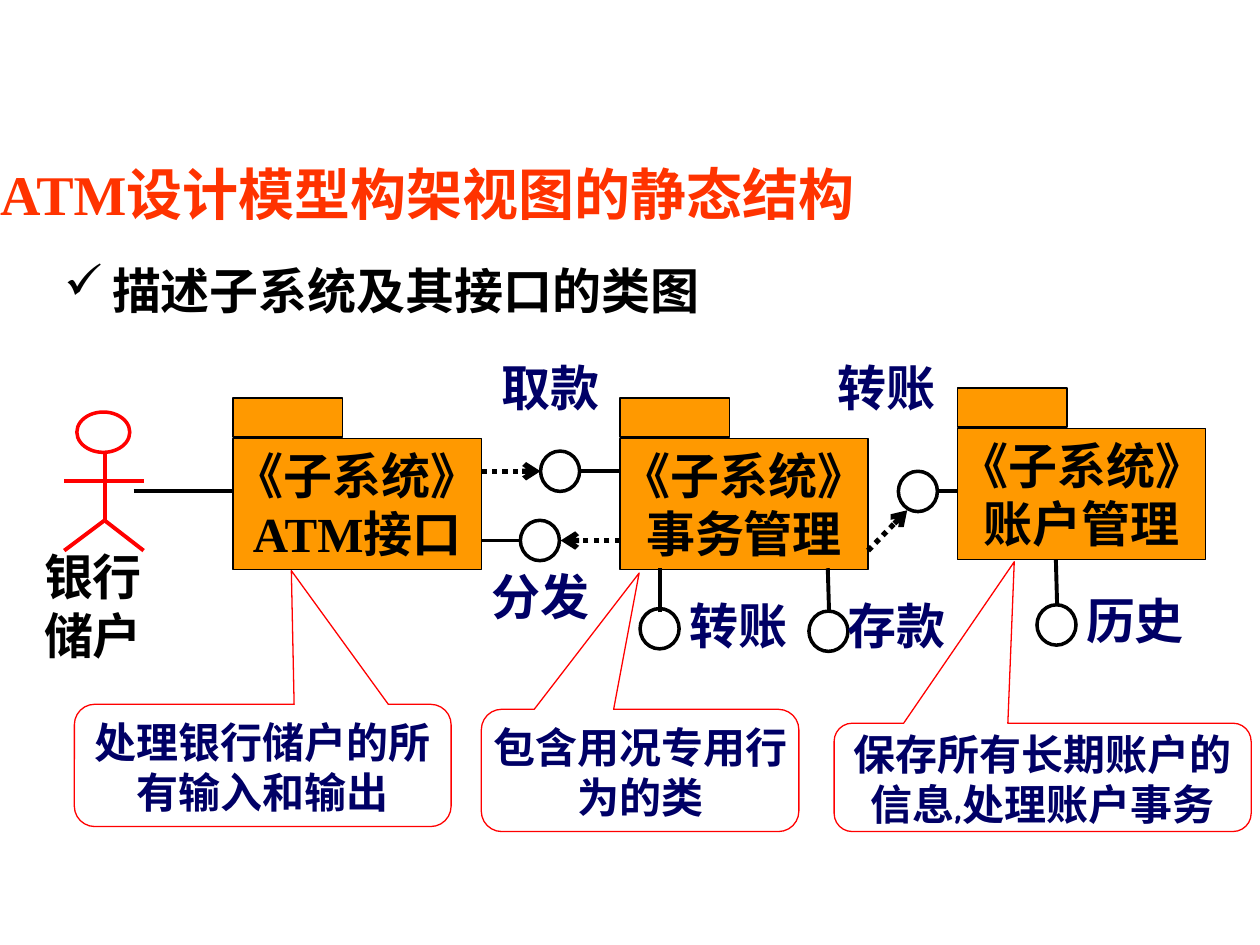
from lxml import etree
from pptx import Presentation
from pptx.dml.color import RGBColor
from pptx.enum.dml import MSO_LINE
from pptx.enum.shapes import MSO_CONNECTOR, MSO_SHAPE
from pptx.enum.text import MSO_ANCHOR, PP_ALIGN
from pptx.oxml.ns import qn
from pptx.util import Inches, Pt

LEFT, CENTER = PP_ALIGN.LEFT, PP_ALIGN.CENTER
TOP, MIDDLE = MSO_ANCHOR.TOP, MSO_ANCHOR.MIDDLE
RECT, OVAL = MSO_SHAPE.RECTANGLE, MSO_SHAPE.OVAL
CALLOUT = MSO_SHAPE.ROUNDED_RECTANGULAR_CALLOUT

BLACK, RED, NAVY, ORANGE = "000000", "FF0000", "000066", "FF9900"
SERIF, HAND, HAN = "Times New Roman", "Comic Neue", "Noto Sans CJK SC"

TITLE = "ATM设计模型构架视图的静态结构"
POINT = "描述子系统及其接口的类图"

# Subsystem packages: name, left, top of the tab
PACKS = [("ATM接口", 1.85, 3.16), ("事务管理", 4.92, 3.16),
         ("账户管理", 7.6, 3.08)]
TAB_W, TAB_H, BODY_W, BODY_H = 0.87, 0.31, 1.97, 1.04

# Interface circles: left, top
RINGS = [(4.13, 4.13), (4.29, 3.58), (7.13, 3.74),
         (8.23, 4.8), (6.42, 4.85), (5.08, 4.83)]
RING_W, RING_H = 0.31, 0.32

# Lines: x1, y1, x2, y2
LINKS = [(1.06, 3.9, 1.85, 3.9), (3.82, 4.29, 4.13, 4.29),
         (4.61, 3.74, 4.92, 3.74), (7.44, 3.9, 7.6, 3.9),
         (8.39, 4.8, 8.38, 4.44), (6.58, 4.86, 6.57, 4.51),
         (5.24, 4.86, 5.24, 4.51)]
USES = [(4.92, 4.29, 4.45, 4.29), (3.82, 3.74, 4.29, 3.74),
        (6.89, 4.37, 7.2, 4.05)]
LIMBS = [(0.51, 3.82, 1.14, 3.82), (0.83, 3.58, 0.83, 4.13),
         (0.51, 4.37, 0.83, 4.13), (1.14, 4.37, 0.83, 4.13)]

# Labels: text, left, top, colour
LABELS = [("银行\n储户", 0.35, 4.29, BLACK), ("分发", 3.9, 4.45, NAVY),
          ("取款", 3.98, 2.79, NAVY), ("转账", 5.47, 4.68, NAVY),
          ("存款", 6.73, 4.68, NAVY), ("历史", 8.62, 4.64, NAVY),
          ("转账", 6.65, 2.79, NAVY)]

# Callouts: text, box, tip as a share of the box from its centre, inset
NOTES = [
    ("处理银行储户的所有输入和输出", (0.59, 5.59, 2.99, 0.97),
     (0.076, -1.594), 0.05),
    ("保存所有长期账户的信息,处理账户事务", (6.62, 5.74, 3.31, 0.86),
     (-0.068, -1.99), 0),
    ("包含用况专用行为的类", (3.82, 5.63, 2.52, 0.97),
     (-0.003, -1.615), 0.05),
]


def rgb(code):
    return RGBColor.from_string(code)


def inch(nums):
    return [Inches(n) for n in nums]


def write(shape, text, size, color, font, align=LEFT, anchor=TOP, pad=0.05):
    frame = shape.text_frame
    frame.text = text
    frame.word_wrap = True
    frame.vertical_anchor = anchor
    frame.margin_left = frame.margin_right = 0
    frame.margin_top = frame.margin_bottom = Inches(pad)
    for para in frame.paragraphs:
        para.alignment = align
        para.line_spacing = Pt(size * 1.2)
        para.space_before = Pt(0)
        for run in para.runs:
            run.font.size, run.font.bold = Pt(size), True
            run.font.name, run.font.color.rgb = font, rgb(color)
            east = etree.SubElement(run.font._element, qn("a:ea"))
            east.set("typeface", HAN)


def draw(shapes, kind, box, line, width, fill=None):
    shape = shapes.add_shape(kind, *inch(box))
    shape.shadow.inherit = False
    if fill:
        shape.fill.solid()
        shape.fill.fore_color.rgb = rgb(fill)
    else:
        shape.fill.background()
    shape.line.color.rgb, shape.line.width = rgb(line), Pt(width)
    return shape


def join(shapes, ends, color=BLACK, width=2.25, arrow=False):
    link = shapes.add_connector(MSO_CONNECTOR.STRAIGHT, *inch(ends))
    link.line.color.rgb, link.line.width = rgb(color), Pt(width)
    if arrow:
        link.line.dash_style = MSO_LINE.ROUND_DOT
        tip = etree.SubElement(link.line._get_or_add_ln(), qn("a:tailEnd"))
        tip.set("type", "arrow")
    etree.SubElement(link._element.spPr, qn("a:effectLst"))


def place(shape, box):
    shape.left, shape.top, shape.width, shape.height = inch(box)


def label(shapes, text, box, color, font):
    shape = shapes.add_textbox(*inch(box))
    write(shape, text, 28, color, font)
    return shape


def tick(para, indent):
    props = para._p.get_or_add_pPr()
    props.set("marL", str(Inches(indent)))
    props.set("indent", str(-Inches(indent)))
    etree.SubElement(props, qn("a:buChar")).set("char", "✓")


def main():
    deck = Presentation()
    deck.slide_width, deck.slide_height = inch((10, 7.5))
    slide = deck.slides.add_slide(deck.slide_layouts[5])
    shapes = slide.shapes

    place(shapes.title, (0, 1.22, 8.9, 0.63))
    write(shapes.title, TITLE, 32, "FF3300", SERIF, anchor=MIDDLE)
    point = label(shapes, POINT, (0.51, 2.02, 6.14, 0.57), BLACK, HAN)
    tick(point.text_frame.paragraphs[0], 0.38)

    actor = shapes.add_group_shape().shapes
    draw(actor, OVAL, (0.61, 3.27, 0.42, 0.32), RED, 2)
    for ends in LIMBS:
        join(actor, ends, RED)

    for name, x, y in PACKS:
        body = draw(shapes, RECT, (x, y + TAB_H + 0.01, BODY_W, BODY_H),
                    BLACK, 0.75, ORANGE)
        write(body, "《子系统》\n" + name, 28, BLACK, SERIF, CENTER, MIDDLE)
        draw(shapes, RECT, (x, y, TAB_W, TAB_H), BLACK, 0.75, ORANGE)

    for ends in LINKS:
        join(shapes, ends)
    for ends in USES:
        join(shapes, ends, width=3, arrow=True)
    for x, y in RINGS:
        draw(shapes, OVAL, (x, y, RING_W, RING_H), BLACK, 2)

    for text, x, y, color in LABELS:
        rows = text.count("\n") + 1
        label(shapes, text, (x, y, 0.86, 0.1 + 0.47 * rows), color, HAND)

    for text, box, tip, pad in NOTES:
        note = draw(shapes, CALLOUT, box, RED, 0.75, "FFFFFF")
        note.adjustments[0], note.adjustments[1] = tip
        write(note, text, 24, NAVY, HAND, CENTER, pad=pad)

    deck.save("out.pptx")


if __name__ == "__main__":
    main()
